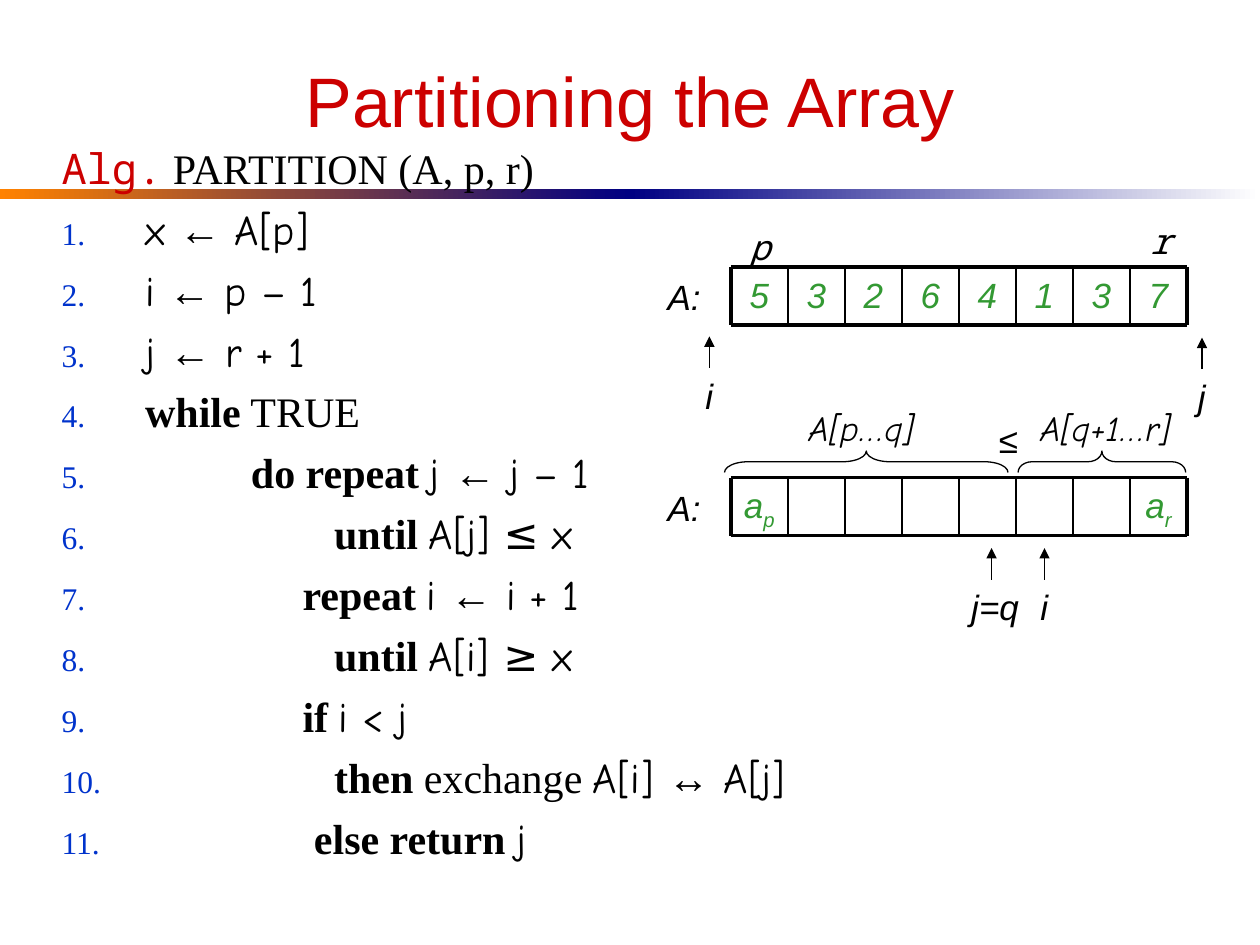
from dataclasses import dataclass
from lxml.etree import SubElement as Sub
from pptx import Presentation
from pptx.dml.color import RGBColor as RGB
from pptx.enum.shapes import MSO_CONNECTOR as Conn, MSO_SHAPE as Form
from pptx.enum.text import MSO_ANCHOR as Anchor, MSO_AUTO_SIZE as Auto, PP_ALIGN as Align
from pptx.oxml.ns import qn
from pptx.util import Inches as In, Pt


@dataclass(frozen=True)
class Theme:
    red: str = "CC0000"
    green: str = "339933"
    blue: str = "0033CC"
    black: str = "000000"
    navy: str = "000082"
    gold: str = "FF8200"
    white: str = "FFFFFF"
    sans: str = "Arial"
    serif: str = "Times New Roman"
    comic: str = "Comic Neue"
    mono: str = "Noto Sans Mono"
    head: int = 40
    code: int = 24
    note: int = 20
    thick: float = 2.25
    thin: float = 1
    fine: float = 0.75


T = Theme()
WIDE, HIGH = 10, 7.5

# Array grid: eight equal cells
LEFT, CELL, TALL, COLS = 5.8, 0.4525, 0.46, 8
TOP1, TOP2 = 2.12, 3.79

# Run styles of the code lines
LOOK = {
    "n": dict(font=T.serif),
    "b": dict(font=T.serif, bold=True),
    "c": dict(font=T.comic),
    "a": dict(font=T.sans),
    "m": dict(font=T.mono, color=T.red),
}

# Code lines: indent in inches, then pairs of style and text
CODE = [
    (0.58, "c", "x ", "a", "←", "c", " A[p]"),
    (0.58, "c", "i ", "a", "←", "c", " p – 1"),
    (0.58, "c", "j ", "a", "←", "c", " r + 1"),
    (0.58, "b", "while", "n", " TRUE"),
    (1.42, "b", "do repeat ", "c", "j ", "a", "←", "c", " j – 1"),
    (2.08, "b", "until ", "c", "A[j] ≤ x"),
    (1.83, "b", "repeat ", "c", "i ", "a", "←", "c", " i + 1"),
    (2.08, "b", "until ", "c", "A[i] ≥ x"),
    (1.83, "b", "if ", "c", "i < j"),
    (2.08, "b", "then", "n", " exchange ", "c", "A[i] ", "a", "↔", "c", " A[j]"),
    (1.92, "b", "else return ", "c", "j"),
]


def write(para, text, font=T.sans, size=T.note, color=T.black, bold=False,
          ital=False, base=0):
    """Add one run of formatted text."""
    run = para.add_run()
    run.text = text
    face = run.font
    face.name, face.size = font, Pt(size)
    face.bold, face.italic = bold, ital
    face.color.rgb = RGB.from_string(color)
    if base:
        run._r.get_or_add_rPr().set("baseline", str(base * 1000))


def box(slide, x, y, w, h, wrap=True):
    """Add an empty text box and return its frame."""
    frame = slide.shapes.add_textbox(In(x), In(y), In(w), In(h)).text_frame
    frame.word_wrap = wrap
    frame.auto_size = Auto.NONE if wrap else Auto.SHAPE_TO_FIT_TEXT
    return frame


def label(slide, text, x, y, w, font=T.sans, wrap=False):
    para = box(slide, x, y, w, 0.44, wrap=wrap).paragraphs[0]
    write(para, text, font=font, ital=True)


def line(slide, x1, y1, x2, y2, width, arrow=False):
    link = slide.shapes.add_connector(Conn.STRAIGHT, In(x1), In(y1), In(x2), In(y2))
    link.line.width = Pt(width)
    link.line.color.rgb = RGB.from_string(T.black)
    if arrow:
        Sub(link.line._get_or_add_ln(), qn("a:tailEnd"), type="triangle")
    Sub(link._element.spPr, qn("a:effectLst"))


def bar(slide, x, start, end):
    """Draw half of the gradient rule under the title."""
    rule = slide.shapes.add_shape(Form.RECTANGLE, In(x), In(1.5), In(WIDE / 2), In(0.08))
    rule.shadow.inherit = False
    rule.line.fill.background()
    rule.fill.gradient()
    rule.fill.gradient_angle = 0
    for stop, color, place in zip(rule.fill.gradient_stops, (start, end), (0, 1)):
        stop.color.rgb = RGB.from_string(color)
        stop.position = place


def brace(slide, x, span):
    """Draw a brace that opens down over a span of cells."""
    deep, mid = 0.17, 3.665
    curl = slide.shapes.add_shape(Form.LEFT_BRACE, In(x + span / 2 - deep / 2),
                                  In(mid - span / 2), In(deep), In(span))
    curl.rotation = 90
    curl.adjustments[0] = span / 12 / deep
    curl.shadow.inherit = False
    curl.fill.background()
    curl.line.width = Pt(T.fine)
    curl.line.color.rgb = RGB.from_string(T.black)


def array(slide, top, items):
    """Draw a row of cells; items maps a column to text and subscript."""
    for col, (text, sub) in items.items():
        para = box(slide, LEFT + col * CELL, top, CELL, TALL).paragraphs[0]
        para.alignment = Align.CENTER
        write(para, text, color=T.green, ital=True)
        if sub:
            write(para, sub, color=T.green, ital=True, base=-25)
    for y in (top, top + TALL):
        line(slide, LEFT, y, LEFT + COLS * CELL, y, T.thick)
    for col in range(COLS + 1):
        x = LEFT + col * CELL
        line(slide, x, top, x, top + TALL, T.thick if col in (0, COLS) else T.thin)
    label(slide, "A:", 5.2, top + 0.02, 0.46)


def mark(slide, text, x, y, w, tip):
    """Point an arrow up from an index name."""
    label(slide, text, x, y, w)
    line(slide, tip, y, tip, y - 0.25, T.fine, arrow=True)


def number(para, indent):
    """Number a line at the left edge and indent its text."""
    props = para._p.get_or_add_pPr()
    props.set("marL", str(In(indent)))
    props.set("indent", str(-In(indent)))
    Sub(Sub(props, qn("a:buClr")), qn("a:srgbClr"), val=T.blue)
    Sub(props, qn("a:buSzPct"), val="75000")
    Sub(props, qn("a:buFont"), typeface=T.serif)
    Sub(props, qn("a:buAutoNum"), type="arabicPeriod")


def code(slide):
    frame = box(slide, 0.39, 1.08, 9, 6.08)
    rows = [(0, "m", "Alg.", "n", " PARTITION (A, p, r)")] + CODE
    for num, (indent, *parts) in enumerate(rows):
        para = frame.add_paragraph() if num else frame.paragraphs[0]
        if num:
            para.space_before = Pt(6)
            number(para, indent)
            # The number takes its face from this plain first run
            write(para, " ", size=T.code, **LOOK["n"])
        for look, text in zip(parts[::2], parts[1::2]):
            write(para, text, size=T.code, **LOOK[look])


def title(slide, text):
    head = slide.shapes.title
    head.left, head.top, head.width, head.height = In(0.5), In(0.25), In(9), In(1.08)
    head.text_frame.vertical_anchor = Anchor.MIDDLE
    para = head.text_frame.paragraphs[0]
    para.alignment = Align.CENTER
    write(para, text, size=T.head, color=T.red)


def main():
    deck = Presentation()
    deck.slide_width, deck.slide_height = In(WIDE), In(HIGH)
    slide = deck.slides.add_slide(deck.slide_layouts[5])

    # Heading and algorithm
    bar(slide, 0, T.gold, T.navy)
    bar(slide, WIDE / 2, T.navy, T.white)
    title(slide, "Partitioning the Array")
    code(slide)

    # Array before partitioning
    array(slide, TOP1, {col: (text, "") for col, text in enumerate("53264137")})
    mark(slide, "i", 5.5, 2.92, 0.26, 5.63)
    mark(slide, "j", 9.41, 2.93, 0.26, 9.54)
    label(slide, "p", 5.85, 1.74, 0.36, font=T.mono)
    label(slide, "r", 9.03, 1.69, 0.31, font=T.mono)

    # Array after partitioning
    array(slide, TOP2, {0: ("a", "p"), COLS - 1: ("a", "r")})
    mark(slide, "i", 8.16, 4.6, 0.26, 8.29)
    mark(slide, "j=q", 7.61, 4.6, 0.58, 7.87)
    brace(slide, 5.75, 2.25)
    brace(slide, 8.08, 1.33)
    label(slide, "A[p…q]", 6.32, 3.18, 1.2, font=T.comic, wrap=True)
    label(slide, "A[q+1…r]", 8.16, 3.18, 1.3, font=T.comic, wrap=True)
    label(slide, "≤", 7.83, 3.27, 0.35)

    deck.save("out.pptx")


if __name__ == "__main__":
    main()
